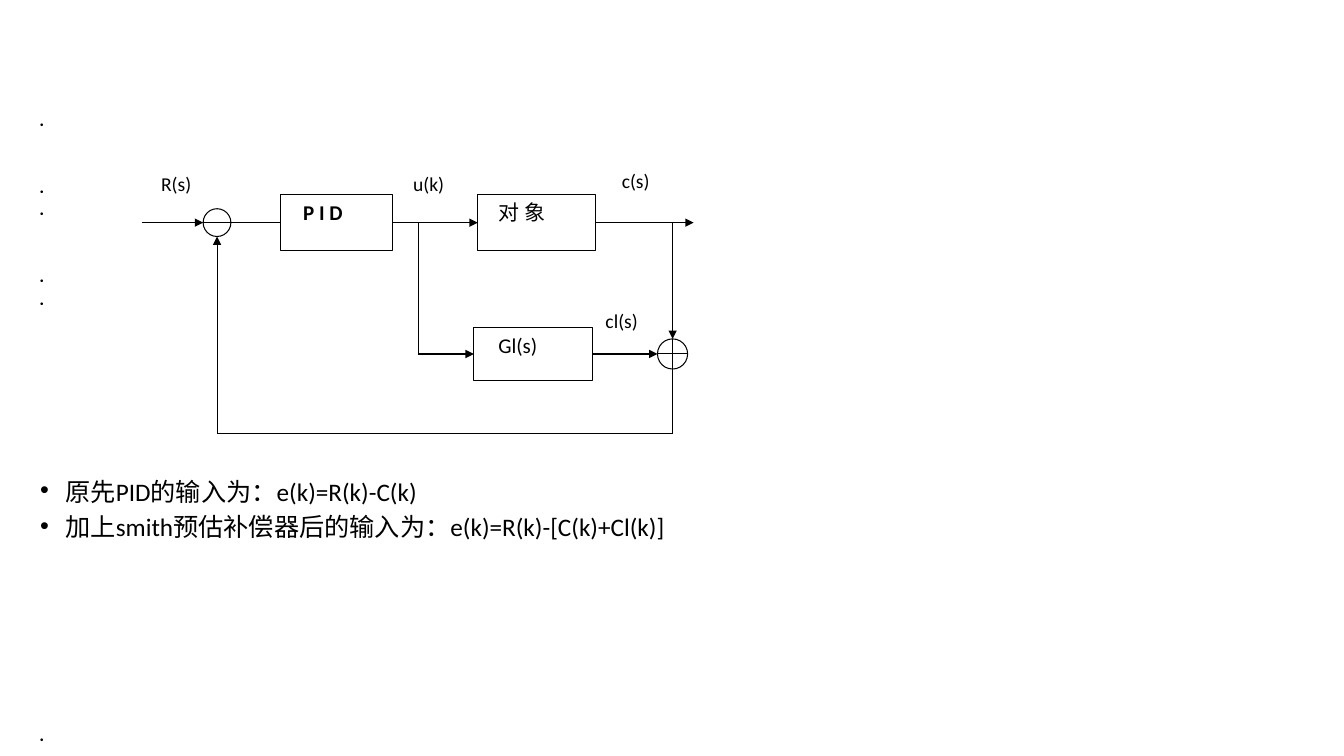
import pptx
import pptx.util
import pptx.dml.color
import pptx.enum.shapes
import pptx.enum.text
import pptx.oxml.ns
from lxml import etree
from pptx.util import Cm, Pt

BLACK = pptx.dml.color.RGBColor(0, 0, 0)
WHITE = pptx.dml.color.RGBColor(255, 255, 255)
FONT = "Calibri"
SHAPES = pptx.enum.shapes.MSO_SHAPE
TOP, LEFT, BOTTOM, RIGHT = range(4)


def add_child(parent, tag, **attributes):
    return etree.SubElement(parent, pptx.oxml.ns.qn(tag), attributes)


def add_run(paragraph, text, size, bold=False):
    run = paragraph.add_run()
    run.text = text
    run.font.name = FONT
    run.font.size = Pt(size)
    run.font.bold = bold
    run.font.color.rgb = BLACK


def add_outlined(slide, kind, left, top, width, height, line_color=BLACK):
    shape = slide.shapes.add_shape(kind, Cm(left), Cm(top), Cm(width), Cm(height))
    shape.shadow.inherit = False
    shape.fill.solid()
    shape.fill.fore_color.rgb = WHITE
    shape.line.color.rgb = line_color
    shape.line.width = Pt(0.75)
    return shape


def add_caption(shape, text, size, bold=False, indent=0.25):
    frame = shape.text_frame
    frame.word_wrap = True
    frame.margin_left = Cm(indent)
    frame.vertical_anchor = pptx.enum.text.MSO_ANCHOR.TOP
    paragraph = frame.paragraphs[0]
    paragraph.alignment = pptx.enum.text.PP_ALIGN.JUSTIFY
    add_run(paragraph, text, size, bold)


def add_line(slide, start, end, arrow=True, source=None, target=None):
    connector = slide.shapes.add_connector(
        pptx.enum.shapes.MSO_CONNECTOR.STRAIGHT, *map(Cm, start + end))
    connector.line.color.rgb = BLACK
    connector.line.width = Pt(0.75)
    if arrow:
        add_child(connector.line._get_or_add_ln(), "a:tailEnd", type="triangle")
    add_child(connector._element.spPr, "a:effectLst")
    if source is not None:
        connector.begin_connect(source, RIGHT)
    if target is not None:
        connector.end_connect(target, LEFT)


def add_diagram(slide, left, top):
    # Main signal axis, predictor axis and feedback level
    main, lower, feedback = top + 1.61, top + 4.92, top + 6.92
    sum_x, branch_x, join_x = left + 1.97, left + 7.04, left + 13.45
    sum_radius, join_radius = 0.35, 0.38

    # Blocks, each centred on its axis
    def add_block(x, axis, width, height, text, indent, bold=False):
        block = add_outlined(slide, SHAPES.RECTANGLE, left + x, axis - height / 2,
                             width, height)
        add_caption(block, text, 15, bold, indent)
        return block

    controller = add_block(3.56, main, 2.84, 1.42, "P I D", 0.58, True)
    plant = add_block(8.54, main, 2.97, 1.42, "对 象", 0.52)
    predictor = add_block(8.44, lower, 3.0, 1.32, "Gl(s)", 0.62)

    # Summing junctions
    for kind, x, y, radius in ((SHAPES.FLOWCHART_CONNECTOR, sum_x, main, sum_radius),
                               (SHAPES.FLOWCHART_OR, join_x, lower, join_radius)):
        add_outlined(slide, kind, x - radius, y - radius, 2 * radius, 2 * radius)

    # Forward path
    sum_left, sum_right = (sum_x - sum_radius, main), (sum_x + sum_radius, main)
    add_line(slide, (left + 0.08, main), sum_left)
    add_line(slide, sum_left, sum_right, arrow=False)
    add_line(slide, sum_right, (left + 3.56, main), arrow=False, target=controller)
    add_line(slide, (left + 6.4, main), (left + 8.54, main),
             source=controller, target=plant)
    add_line(slide, (left + 11.51, main), (left + 13.98, main), source=plant)

    # Predictor path
    add_line(slide, (branch_x, main), (branch_x, lower), arrow=False)
    add_line(slide, (branch_x, lower), (left + 8.44, lower), target=predictor)
    add_line(slide, (left + 11.44, lower), (join_x - join_radius, lower),
             source=predictor)
    add_line(slide, (join_x, main), (join_x, lower - join_radius))

    # Feedback path
    add_line(slide, (join_x, lower + join_radius), (join_x, feedback), arrow=False)
    add_line(slide, (join_x, feedback), (sum_x, feedback), arrow=False)
    add_line(slide, (sum_x, feedback), (sum_x, main + sum_radius))

    # Signal names
    for text, x, y, width, height in (("R(s)", 0.31, 0.22, 1.35, 1.02),
                                      ("u(k)", 6.66, 0.22, 1.57, 1.12),
                                      ("c(s)", 11.92, 0.14, 1.5, 1.19),
                                      ("cl(s)", 11.51, 3.65, 1.4, 1.09)):
        label = add_outlined(slide, SHAPES.RECTANGLE, left + x, top + y,
                             width, height, WHITE)
        add_caption(label, text, 14)


def add_notes_list(slide, left, top, width, height):
    box = slide.shapes.add_textbox(Cm(left), Cm(top), Cm(width), Cm(height))
    frame = box.text_frame
    frame.word_wrap = True
    # Text, size and space before; a single space leaves a bare bullet
    items = ((" ", 7, 0), (" ", 7, 42), (" ", 7, 10), (" ", 7, 42), (" ", 7, 10),
             ("原先PID的输入为：e(k)=R(k)-C(k)", 18, 124.7),
             ("加上smith预估补偿器后的输入为：e(k)=R(k)-[C(k)+Cl(k)]", 18, 10),
             (" ", 7, 140.8))
    for index, (text, size, space) in enumerate(items):
        paragraph = frame.add_paragraph() if index else frame.paragraphs[0]
        paragraph.line_spacing = 0.7
        paragraph.space_before = Pt(space)
        properties = paragraph._p.get_or_add_pPr()
        properties.set("marL", str(Cm(0.64)))
        properties.set("indent", str(Cm(-0.64)))
        add_child(properties, "a:buFont", typeface="Arial")
        add_child(properties, "a:buChar", char="•")
        add_run(paragraph, text, size)


def main():
    presentation = pptx.Presentation()
    presentation.slide_width = Cm(33.87)
    presentation.slide_height = Cm(19.05)
    slide = presentation.slides.add_slide(presentation.slide_layouts[6])
    add_notes_list(slide, 0.76, 2.97, 22.56, 15.39)
    add_diagram(slide, 3.5, 4)
    presentation.save("out.pptx")


if __name__ == "__main__":
    main()
